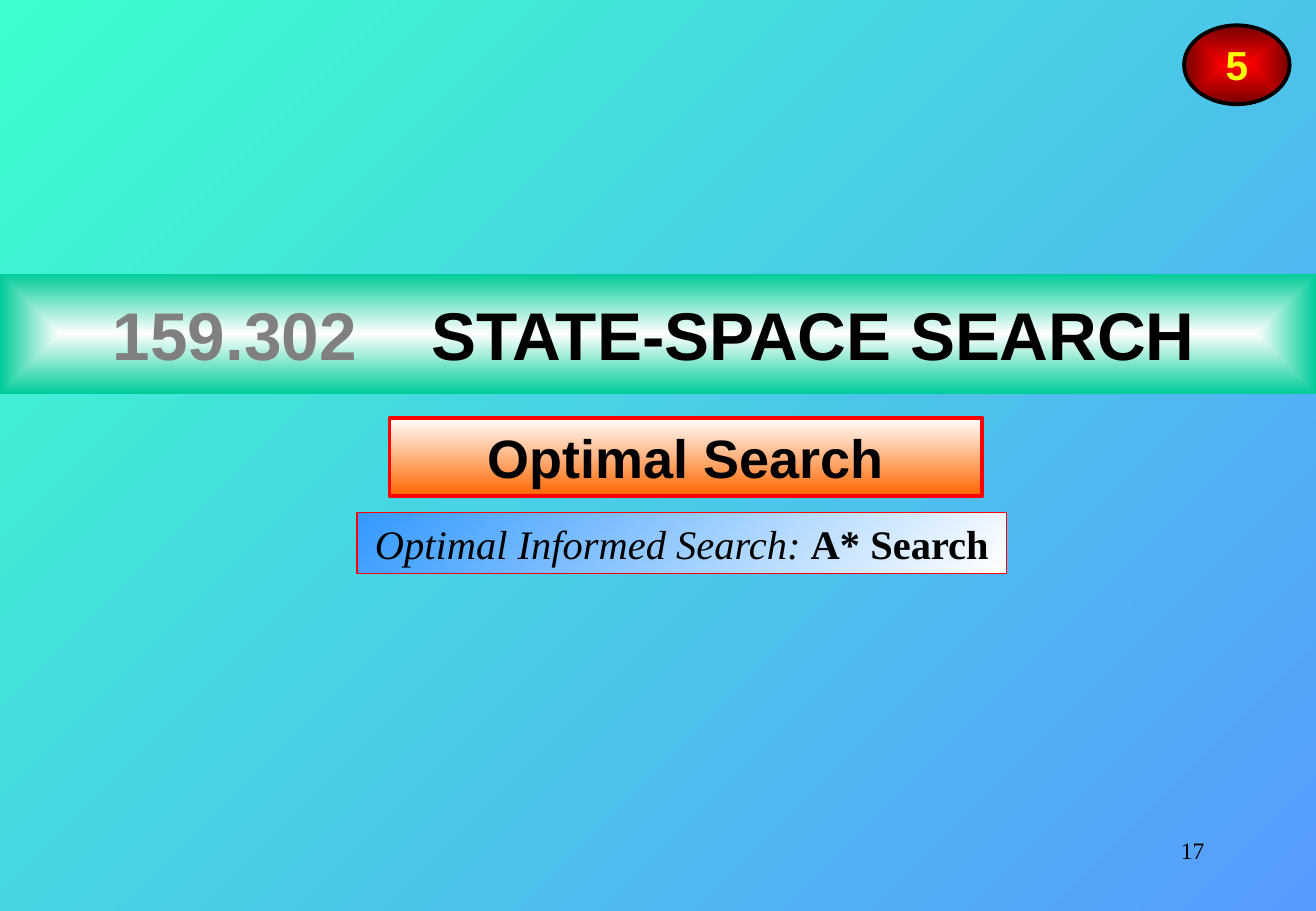
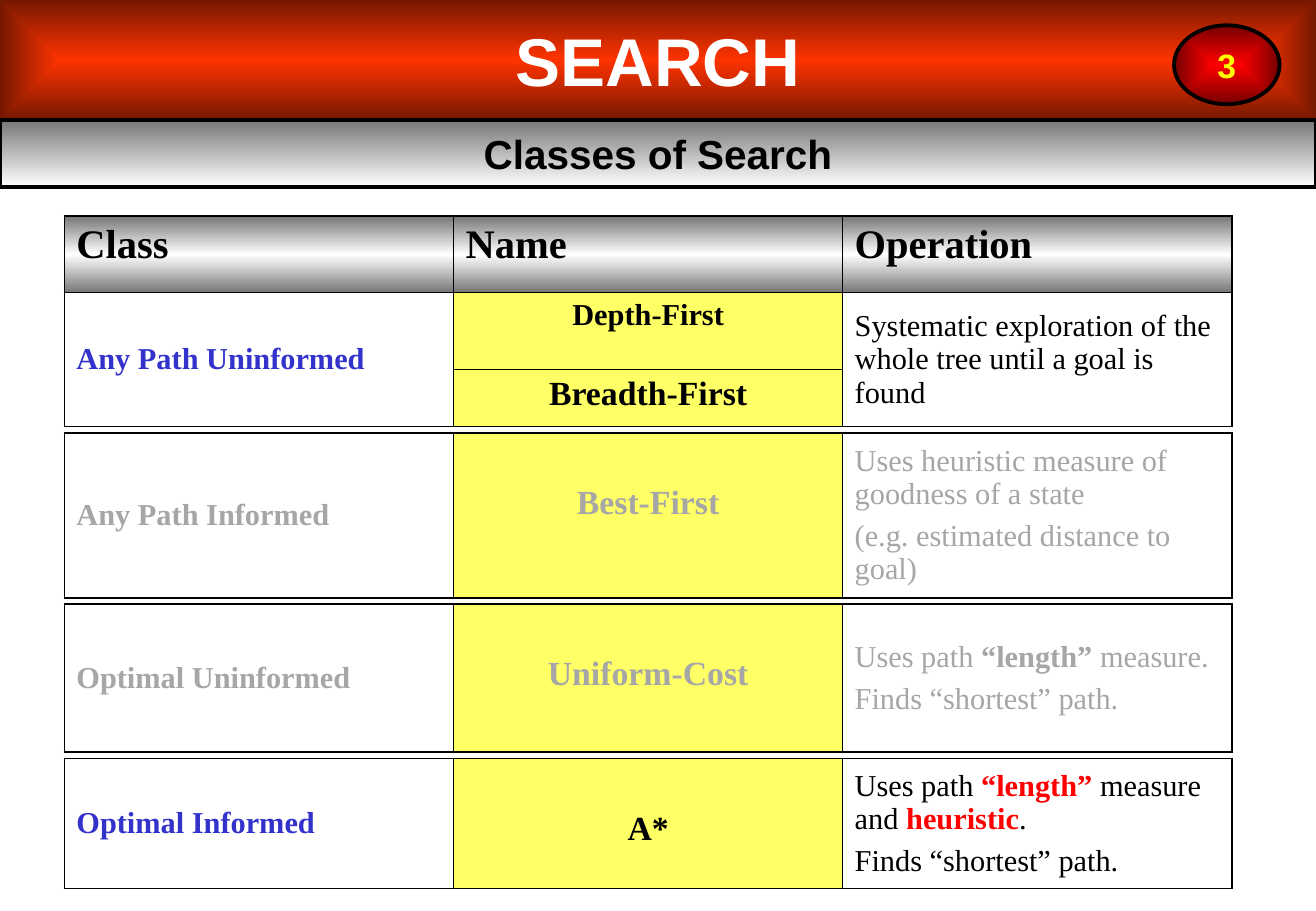
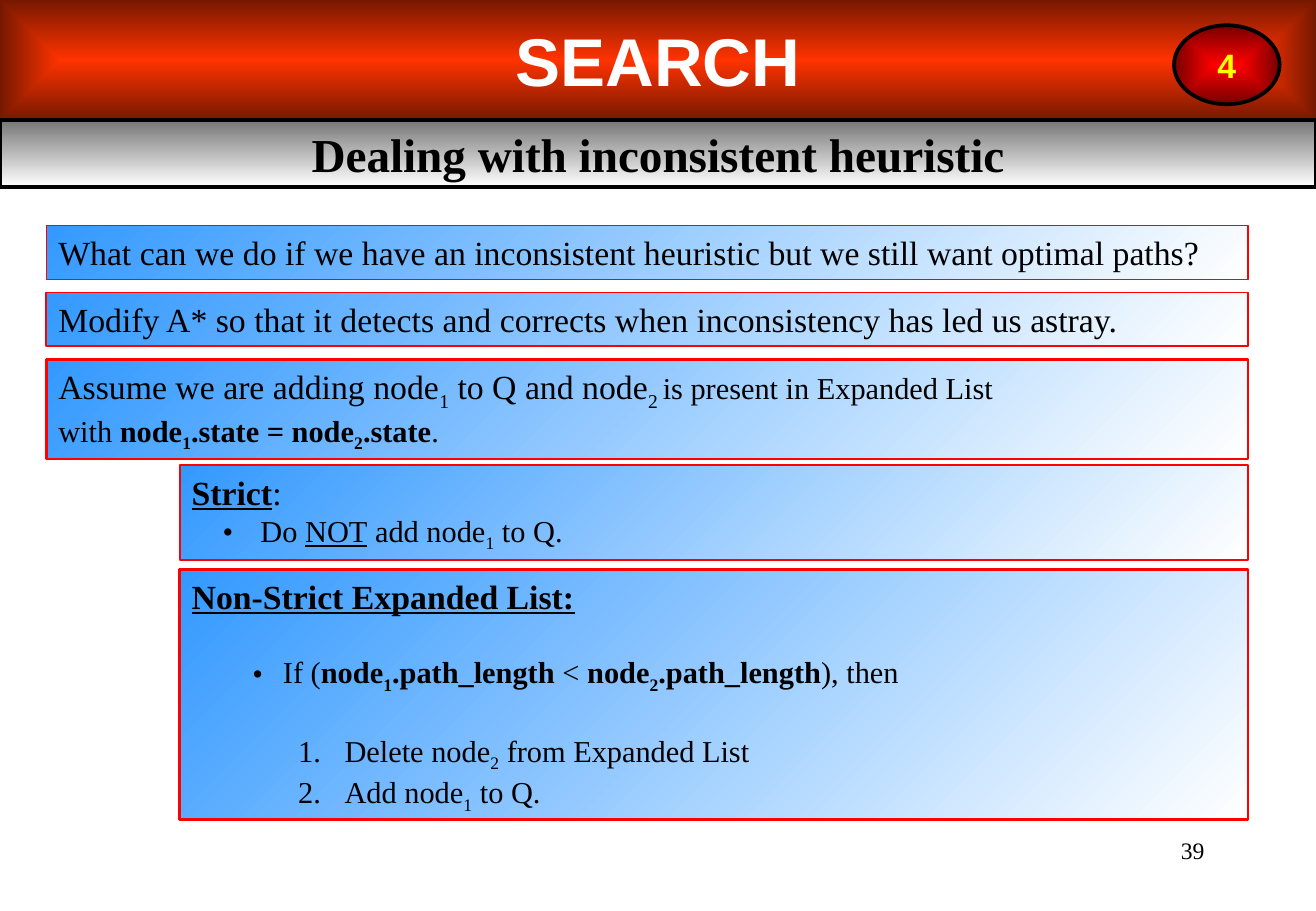
from dataclasses import dataclass
from itertools import accumulate
from typing import NamedTuple, Optional

from lxml import etree
from pptx import Presentation
from pptx import util as u
from pptx.dml.color import RGBColor
from pptx.enum import shapes, text
from pptx.oxml.ns import qn

Cm, Pt = u.Cm, u.Pt
ALIGN, ANCHOR = text.PP_ALIGN, text.MSO_ANCHOR
SHAPE = shapes.MSO_SHAPE


@dataclass(frozen=True)
class Theme:
    # Colours
    black: str = "000000"
    white: str = "FFFFFF"
    red: str = "FF0000"
    muted: str = "A6A6A6"
    course: str = "808080"
    active: str = "3333CC"
    name_fill: str = "FFFF66"
    badge_text: str = "FFFF00"
    # Gradients, first stop to last
    cover: tuple = ("3BFFCC", "579BFF")
    cover_title: tuple = ("FFFFFF", "00CC99")
    cover_topic: tuple = ("FFFFFF", "FF6600")
    band: tuple = ("FF3300", "761800")
    subtitle: tuple = ("767676", "FFFFFF")
    header: tuple = ("767676", "FFFFFF", "767676")
    badge: tuple = ("FF0000", "760000")
    note: tuple = ("3399FF", "FFFFFF")
    # Fonts and sizes
    sans: str = "Arial"
    serif: str = "Times New Roman"
    title: int = 40
    topic: int = 32
    heading: int = 24
    lead: int = 20
    body: int = 18
    page: int = 14
    # Cell border widths
    outer: float = 1.08
    inner: float = 0.45


THEME = Theme()
WIDTH, HEIGHT = 27.53, 19.05
BAND_HEIGHT = 2.51


class Run(NamedTuple):
    text: str
    style: str = ""  # b bold, i italic, u underline, s subscript
    size: Optional[int] = None
    color: Optional[str] = None


# ---- Shared helpers ----

def child(parent, tag, **attributes):
    return etree.SubElement(parent, qn(tag), attributes)


def paint_gradient(fill, owner, colors, angle=None):
    """Linear at the given angle, or rectangular from the centre without one."""
    fill.gradient()
    gradient = next(owner.iter(qn("a:gradFill")))
    for part in list(gradient):
        gradient.remove(part)
    stops = child(gradient, "a:gsLst")
    for index, color in enumerate(colors):
        position = 100000 * index // (len(colors) - 1)
        stop = child(stops, "a:gs", pos=str(position))
        child(stop, "a:srgbClr", val=color)
    if angle is None:
        focus = child(gradient, "a:path", path="rect")
        child(focus, "a:fillToRect", l="50000", t="50000", r="50000", b="50000")
    else:
        child(gradient, "a:lin", ang=str(angle * 60000), scaled="0")


def add_runs(paragraph, runs, size, font, color=THEME.black):
    for item in runs:
        run = paragraph.add_run()
        run.text = item.text
        run.font.name = font
        run.font.size = Pt(item.size or size)
        run.font.color.rgb = RGBColor.from_string(item.color or color)
        run.font.bold = "b" in item.style
        run.font.italic = "i" in item.style
        run.font.underline = "u" in item.style
        if "s" in item.style:
            run.font._element.set("baseline", "-25000")


def set_indent(paragraph, margin, hanging, bullet=None):
    properties = paragraph._p.get_or_add_pPr()
    properties.set("marL", str(Cm(margin)))
    properties.set("indent", str(-Cm(hanging)))
    if bullet:
        child(child(properties, "a:buClr"), "a:srgbClr", val=THEME.black)
        child(properties, "a:buFont", typeface=THEME.serif)
        if bullet == "1.":
            child(properties, "a:buAutoNum", type="arabicPeriod")
        else:
            child(properties, "a:buChar", char=bullet)


def format_frame(frame, anchor=ANCHOR.MIDDLE, wrap=True):
    frame.auto_size = text.MSO_AUTO_SIZE.NONE
    frame.word_wrap = wrap
    frame.vertical_anchor = anchor
    frame.margin_left = frame.margin_right = Cm(0.25)
    frame.margin_top = frame.margin_bottom = Cm(0.13)
    return frame.paragraphs[0]


def add_panel(slide, box, colors, angle=None, line=None, line_width=2.25,
              kind=SHAPE.RECTANGLE):
    shape = slide.shapes.add_shape(kind, *map(Cm, box))
    shape.shadow.inherit = False
    paint_gradient(shape.fill, shape.element.spPr, colors, angle)
    if line:
        shape.line.color.rgb = RGBColor.from_string(line)
        shape.line.width = Pt(line_width)
    else:
        shape.line.fill.background()
    return shape


def add_label(slide, box, runs, size, font, colors, angle=None, color=THEME.black,
              anchor=ANCHOR.MIDDLE, wrap=True, **panel):
    shape = add_panel(slide, box, colors, angle, **panel)
    paragraph = format_frame(shape.text_frame, anchor, wrap)
    paragraph.alignment = ALIGN.CENTER
    add_runs(paragraph, runs, size, font, color)


def new_slide(presentation):
    return presentation.slides.add_slide(presentation.slide_layouts[5])


def place_title(slide, top, colors, runs, color):
    title = slide.shapes.title
    title.left, title.top = Cm(0), Cm(top)
    title.width, title.height = Cm(WIDTH), Cm(BAND_HEIGHT)
    paint_gradient(title.fill, title.element.spPr, colors)
    paragraph = format_frame(title.text_frame)
    paragraph.alignment = ALIGN.CENTER
    add_runs(paragraph, runs, THEME.title, THEME.sans, color)
    return title


def add_badge(slide, left, number, size):
    add_label(slide, (left, 0.53, 2.21, 1.65), [Run(number, "b")], size, THEME.sans,
              THEME.badge, color=THEME.badge_text, wrap=False,
              line=THEME.black, kind=SHAPE.OVAL)


def add_page_number(slide, number):
    box = slide.shapes.add_textbox(Cm(19.71), Cm(17.35), Cm(5.74), Cm(1.27))
    paragraph = format_frame(box.text_frame, ANCHOR.TOP)
    paragraph.alignment = ALIGN.RIGHT
    add_runs(paragraph, [Run(number)], THEME.page, THEME.serif)


def add_search_header(slide, number, subtitle, size, font):
    place_title(slide, 0, THEME.band, [Run("SEARCH", "b")], THEME.white)
    add_label(slide, (0, BAND_HEIGHT, WIDTH, 1.4), [Run(subtitle, "b")], size, font,
              THEME.subtitle, 90, line=THEME.black)
    add_badge(slide, 24.56, number, THEME.lead)


# ---- Cover ----

def build_cover(presentation):
    slide = new_slide(presentation)
    paint_gradient(slide.background.fill, slide.element, THEME.cover, 45)
    add_page_number(slide, "17")

    # Course code and name, set apart by a tab stop
    title = place_title(slide, 5.72, THEME.cover_title,
                        [Run("159.302\t", "b", color=THEME.course),
                         Run("STATE-SPACE SEARCH", "b")], THEME.black)
    title.text_frame.margin_left = Cm(2.36)
    paragraph = title.text_frame.paragraphs[0]
    paragraph.alignment = ALIGN.LEFT
    tabs = child(paragraph._p.get_or_add_pPr(), "a:tabLst")
    child(tabs, "a:tab", pos=str(Cm(6.66)), algn="l")

    # Topic and subtopic
    add_label(slide, (8.15, 8.74, 12.4, 1.63), [Run("Optimal Search", "b")],
              THEME.topic, THEME.sans, THEME.cover_topic, 90, line=THEME.red)
    add_label(slide, (7.47, 10.72, 13.59, 1.27),
              [Run("Optimal Informed Search: ", "i"), Run("A* Search", "b")],
              THEME.heading, THEME.serif, THEME.note, 45,
              wrap=False, line=THEME.red, line_width=0.75)
    add_badge(slide, 24.77, "5", THEME.heading)


# ---- Table of search classes ----

def set_borders(cell, edges):
    properties = cell._tc.get_or_add_tcPr()
    for index, (side, width) in enumerate(edges.items()):
        line = etree.Element(qn(f"a:ln{side}"), w=str(Pt(width)))
        child(child(line, "a:solidFill"), "a:srgbClr", val=THEME.black)
        properties.insert(index, line)


def add_grid(slide, top, row_heights):
    columns = 3
    frame = slide.shapes.add_table(len(row_heights), columns, Cm(1.35), Cm(top),
                                   Cm(8.14 * columns), Cm(sum(row_heights)))
    table = frame.table
    table.first_row = table.horz_banding = False
    for column in table.columns:
        column.width = Cm(8.14)
    for row, height in zip(table.rows, row_heights):
        row.height = Cm(height)
    return table


def finish_grid(table):
    """Heavy outside border, fine inside borders."""
    last_row, last_column = len(table.rows) - 1, len(table.columns) - 1
    for r in range(last_row + 1):
        for c in range(last_column + 1):
            cell = table.cell(r, c)
            bottom = r + (cell.span_height - 1 if cell.is_merge_origin else 0)
            outside = {"L": c == 0, "R": c == last_column,
                       "T": r == 0, "B": bottom == last_row}
            if cell.is_spanned:
                del outside["T"]
            set_borders(cell, {side: THEME.outer if edge else THEME.inner
                               for side, edge in outside.items()})


def fill_cell(cell, paragraphs, size, color=THEME.black, fill=THEME.white,
              anchor=ANCHOR.MIDDLE, alignment=ALIGN.LEFT, top=0.13):
    cell.margin_left = cell.margin_right = Cm(0.25)
    cell.margin_top, cell.margin_bottom = Cm(top), Cm(0.13)
    cell.vertical_anchor = anchor
    if isinstance(fill, tuple):
        paint_gradient(cell.fill, cell._tc, fill, 90)
    else:
        cell.fill.solid()
        cell.fill.fore_color.rgb = RGBColor.from_string(fill)
    for index, runs in enumerate(paragraphs):
        if index:
            paragraph = cell.text_frame.add_paragraph()
            paragraph.space_before = Pt(4.5)
        else:
            paragraph = cell.text_frame.paragraphs[0]
        paragraph.alignment = alignment
        add_runs(paragraph, runs, size, THEME.serif, color)


def fill_name(cell, name, size, color=THEME.black, top=0.13):
    fill_cell(cell, [[Run(name, "b")]], size, color, THEME.name_fill,
              ANCHOR.TOP, ALIGN.CENTER, top)


def build_classes(presentation):
    slide = new_slide(presentation)
    add_search_header(slide, "3", "Classes of Search", THEME.heading, THEME.sans)

    grids = [[1.6, 1.6, 1.2], [3.45], [3.1], [2.72]]
    gap = 0.13
    tops = accumulate((sum(rows) + gap for rows in grids[:-1]), initial=4.52)
    tables = [add_grid(slide, top, rows) for top, rows in zip(tops, grids)]

    # Header and the uninformed any-path class
    first = tables[0]
    for column, heading in enumerate(["Class", "Name", "Operation"]):
        fill_cell(first.cell(0, column), [[Run(heading, "b")]], THEME.heading,
                  fill=THEME.header, anchor=ANCHOR.TOP)
    for column in (0, 2):
        first.cell(1, column).merge(first.cell(2, column))
    fill_cell(first.cell(1, 0), [[Run("Any Path Uninformed", "b")]], THEME.body,
              THEME.active)
    fill_name(first.cell(1, 1), "Depth-First", THEME.body)
    fill_name(first.cell(2, 1), "Breadth-First", THEME.lead)
    fill_cell(first.cell(1, 2), [[Run(
        "Systematic exploration of the whole tree until a goal is found")]], THEME.body)

    # The other classes, one table each
    shortest = [Run("Finds “shortest” path.")]
    classes = [
        ("Any Path Informed", "Best-First", THEME.muted, THEME.muted,
         [[Run("Uses heuristic measure of goodness of a state")],
          [Run("(e.g. estimated distance to goal)")]]),
        ("Optimal Uninformed", "Uniform-Cost", THEME.muted, THEME.muted,
         [[Run("Uses path "), Run("“length”", "b"), Run(" measure.")], shortest]),
        ("Optimal Informed", "A*", THEME.active, THEME.black,
         [[Run("Uses path "), Run("“length”", "b", color=THEME.red),
           Run(" measure and "), Run("heuristic", "b", color=THEME.red), Run(".")],
          shortest]),
    ]
    for table, (label, name, label_color, color, operation) in zip(tables[1:], classes):
        fill_cell(table.cell(0, 0), [[Run(label, "b")]], THEME.body, label_color)
        fill_name(table.cell(0, 1), name, THEME.lead, color, top=1.08)
        fill_cell(table.cell(0, 2), operation, THEME.body, color)

    for table in tables:
        finish_grid(table)


# ---- Notes on inconsistent heuristics ----

class Line(NamedTuple):
    runs: list
    size: int = THEME.body
    indent: tuple = ()  # margin, hanging, bullet
    before: int = 0


def add_note(slide, left, top, height, line_width, lines):
    right = 26.11
    shape = add_panel(slide, (left, top, right - left, height), THEME.note, 45,
                      THEME.red, line_width)
    frame = shape.text_frame
    format_frame(frame, ANCHOR.TOP)
    for index, line in enumerate(lines):
        paragraph = frame.add_paragraph() if index else frame.paragraphs[0]
        paragraph.alignment = ALIGN.LEFT
        if line.before:
            paragraph.space_before = Pt(line.before)
        if line.indent:
            set_indent(paragraph, *line.indent)
        add_runs(paragraph, line.runs, line.size, THEME.serif)


def node(number, style="", before="", size=None):
    """The word node with its index set as a subscript."""
    return [Run(before + "node", style, size), Run(number, style + "s", size)]


def build_heuristic(presentation):
    slide = new_slide(presentation)
    add_page_number(slide, "39")
    add_search_header(slide, "4", "Dealing with inconsistent heuristic", 28, THEME.serif)

    outer, inner = 0.97, 3.76
    lead = THEME.lead
    step = (3.2, 0.97, "1.")

    # Question and approach
    add_note(slide, outer, 4.72, 1.12, 0.75, [Line([Run(
        "What can we do if we have an inconsistent heuristic but we still want "
        "optimal paths?")], lead)])
    add_note(slide, outer, 6.12, 1.12, 1, [Line([Run(
        "Modify A* so that it detects and corrects when inconsistency has led us "
        "astray.")], lead)])
    add_note(slide, outer, 7.52, 2.08, 1.5, [
        Line([*node("1", before="Assume we are adding ", size=lead),
              *node("2", before=" to Q and ", size=lead),
              Run(" ", "s", lead), Run("is present in Expanded List")]),
        Line([Run("with "), *node("1", "b"), Run(".state = ", "b"), *node("2", "b"),
              Run(".state", "b"), Run(".")]),
    ])

    # The two kinds of expanded list
    add_note(slide, inner, 9.73, 1.98, 1, [
        Line([Run("Strict", "bu"), Run(":")], lead),
        Line([Run("Do "), Run("NOT", "u"), *node("1", before=" add "), Run(" to Q.")],
             indent=(1.44, 0.79, "•")),
    ])
    add_note(slide, inner, 11.91, 5.23, 1.5, [
        Line([Run("Non-Strict Expanded List:", "bu")], lead),
        Line([Run("If ("), *node("1", "b"), Run(".path_length", "b"), Run(" < "),
              *node("2", "b"), Run(".path_length", "b"), Run("), then")],
             indent=(1.91, 0.64, "•"), before=22),
        Line([*node("2", before="Delete "), Run(" from Expanded List")],
             indent=step, before=22),
        Line([*node("1", before="Add "), Run(" to Q.")], indent=step),
    ])


def main():
    presentation = Presentation()
    presentation.slide_width, presentation.slide_height = Cm(WIDTH), Cm(HEIGHT)
    build_cover(presentation)
    build_classes(presentation)
    build_heuristic(presentation)
    presentation.save("out.pptx")


if __name__ == "__main__":
    main()
